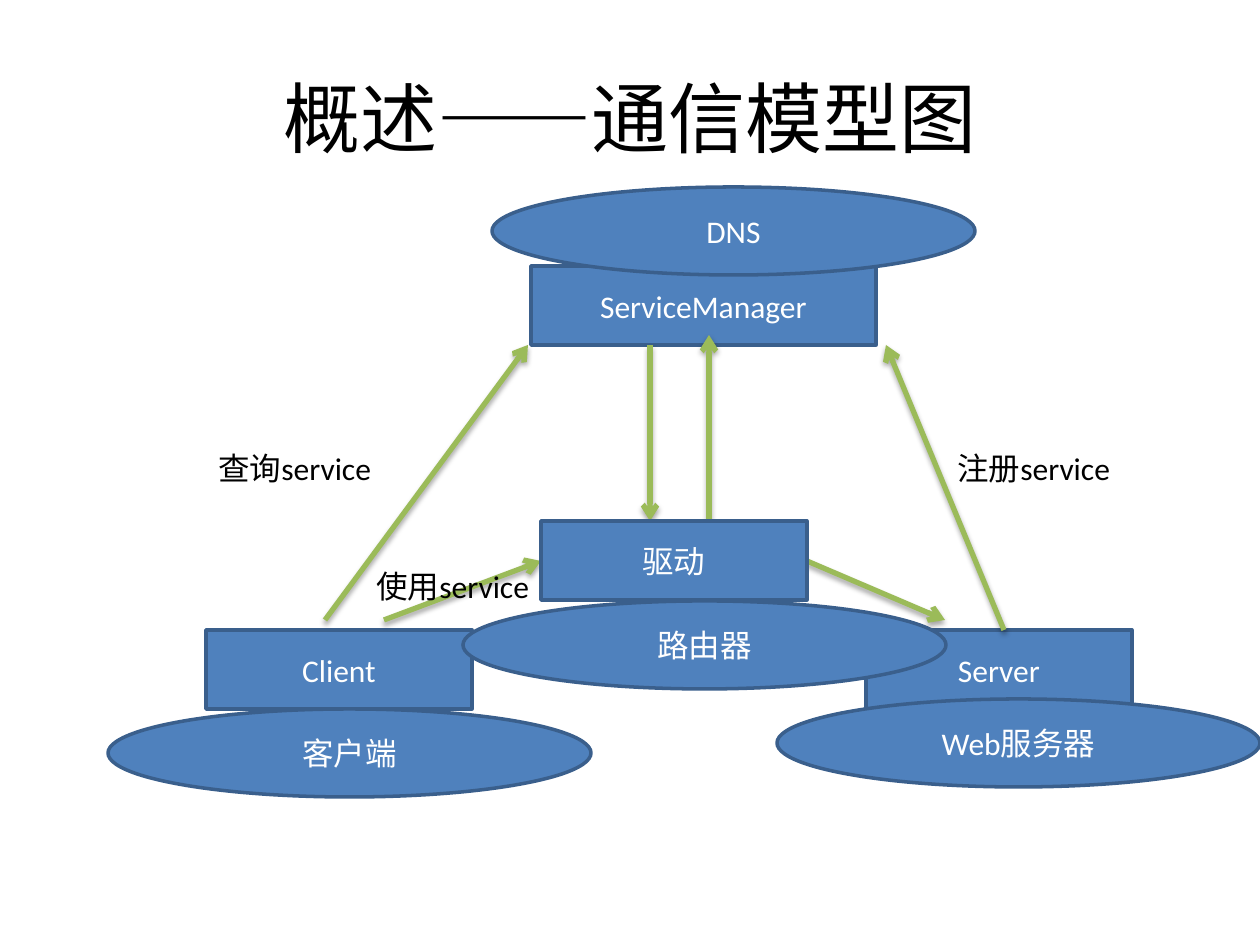
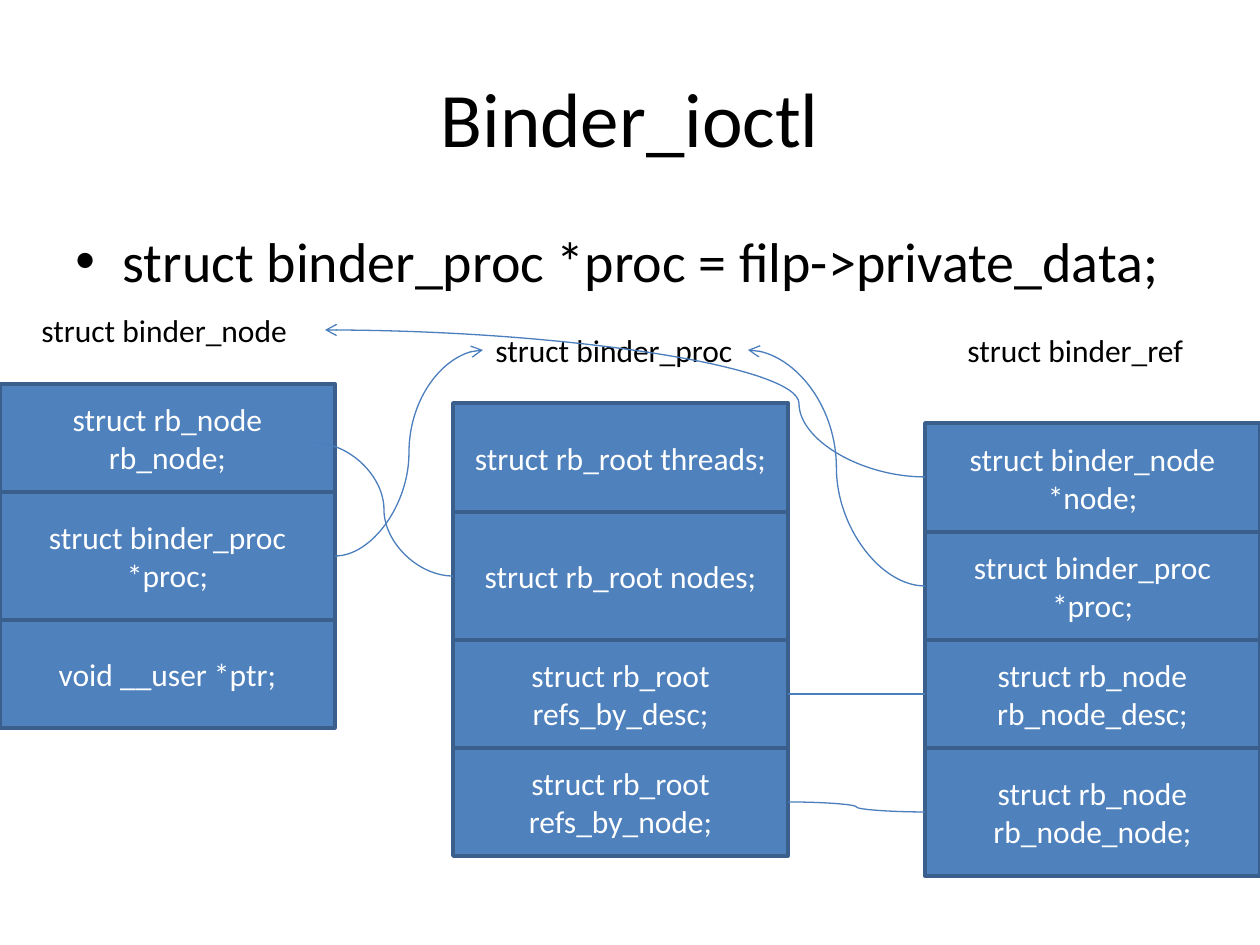
from pptx import Presentation
from pptx import util as u
from pptx.dml.color import RGBColor
from pptx.enum import shapes, text
from pptx.oxml import parse_xml
from pptx.oxml.ns import nsdecls, qn
from lxml import etree

SCALE = 914400 / 126
HUES = {"ink": "000000", "pale": "FFFFFF", "box": "4F81BD", "edge": "3A5F8C",
        "green": "9BBB59", "blue": "4B7EBC"}
RECT, OVAL = shapes.MSO_SHAPE.RECTANGLE, shapes.MSO_SHAPE.OVAL
LINE, CURVE = shapes.MSO_CONNECTOR.STRAIGHT, shapes.MSO_CONNECTOR.CURVE
MID = text.MSO_ANCHOR.MIDDLE
LEFT, MIDDLE = text.PP_ALIGN.LEFT, text.PP_ALIGN.CENTER
SHADE = ('<a:outerShdw blurRad="39370" dist="22860" dir="5400000" rotWithShape="0">'
         '<a:srgbClr val="000000"><a:alpha val="35000"/></a:srgbClr></a:outerShdw>')


def write(shape, words, size=18, hue="ink", align=LEFT):
    frame = shape.text_frame
    frame.word_wrap = True
    para = frame.paragraphs[0]
    para.alignment = align
    run = para.add_run()
    run.text = words
    run.font.size = u.Pt(size)
    run.font.name = "Calibri"
    run.font.color.rgb = RGBColor.from_string(HUES[hue])
    return para


def link(slide, kind, ends, hue, width, head, shade="", bend=0.5):
    wire = slide.shapes.add_connector(kind, *[round(n * SCALE) for n in ends])
    wire.line.color.rgb = RGBColor.from_string(HUES[hue])
    wire.line.width = u.Pt(width)
    props = wire._element.spPr
    if head:
        etree.SubElement(props.find(qn("a:ln")), qn("a:tailEnd"), type="arrow")
    if bend != 0.5:
        etree.SubElement(props.find(qn("a:prstGeom")).find(qn("a:avLst")), qn("a:gd"),
                         name="adj1", fmla=f"val {round(bend * 100000)}")
    props.append(parse_xml(f'<a:effectLst {nsdecls("a")}>{shade}</a:effectLst>'))


deck = Presentation()
deck.slide_width, deck.slide_height = u.Inches(10), u.Inches(7.5)

model_boxes = [
    (RECT, 206, 630, 266, 79, "Client"),
    (RECT, 866, 630, 266, 79, "Server"),
    (RECT, 531, 266, 345, 79, "ServiceManager"),
    (RECT, 541, 521, 266, 79, "驱动"),
    (OVAL, 492, 187, 483, 88, "DNS"),
    (OVAL, 777, 699, 483, 88, "Web服务器"),
    (OVAL, 463, 601, 483, 88, "路由器"),
    (OVAL, 108, 709, 483, 88, "客户端"),
]
model_tags = [(206, 443, 217, "查询service"), (945, 443, 217, "注册service"),
              (364, 561, 217, "使用service")]
model_ways = [(325, 620, 528, 345), (384, 620, 541, 561), (1004, 630, 886, 345),
              (807, 561, 945, 620), (650, 345, 650, 521), (709, 521, 709, 335)]

stacks = [
    (453, 403, [("struct rb_root threads;", 109), ("struct rb_root nodes;", 128),
                ("struct rb_root refs_by_desc;", 108), ("struct rb_root refs_by_node;", 108)]),
    (0, 384, [("struct rb_node rb_node;", 108), ("struct binder_proc *proc;", 128),
              ("void __user *ptr;", 108)]),
    (925, 423, [("struct binder_node *node;", 109), ("struct binder_proc *proc;", 108),
                ("struct rb_node rb_node_desc;", 108), ("struct rb_node rb_node_node;", 128)]),
]
struct_boxes = []
for left, top, cells in stacks:
    for words, high in cells:
        struct_boxes.append((RECT, left, top, 335, high, words))
        top += high
struct_tags = [(483, 325, 266, "struct binder_proc"), (29, 305, 295, "struct binder_node"),
               (955, 325, 266, "struct binder_ref")]
struct_ways = [
    ((788, 694, 925, 694), False, 0.5),
    ((788, 802, 925, 812), False, 0.5),
    ((925, 586, 748, 350), True, 0.5),
    ((925, 477, 325, 330), True, 0.21),
    ((315, 443, 453, 576), False, 0.5),
    ((335, 556, 483, 350), True, 0.5),
]

pages = [("概述——通信模型图", model_boxes[:3], model_tags, model_boxes[3:]),
         ("Binder_ioctl", struct_boxes, struct_tags, [])]
for name, under, tags, over in pages:
    slide = deck.slides.add_slide(deck.slide_layouts[5])
    title = slide.shapes.title
    title.left, title.top, title.width, title.height = [
        round(n * SCALE) for n in (63, 38, 1134, 158)]
    title.text_frame.vertical_anchor = MID
    write(title, name, 44, "ink", MIDDLE)

    if not over:
        spot = [round(n * SCALE) for n in (63, 220, 1138, 95)]
        para = write(slide.shapes.add_textbox(*spot),
                     "struct binder_proc *proc = filp->private_data;", 32)
        props = para._p.get_or_add_pPr()
        props.set("marL", "342900")
        props.set("indent", "-342900")
        etree.SubElement(props, qn("a:buFont"), typeface="Arial")
        etree.SubElement(props, qn("a:buChar"), char="•")

    for group in (under, over):
        for kind, left, top, wide, high, words in group:
            spot = [round(n * SCALE) for n in (left, top, wide, high)]
            box = slide.shapes.add_shape(kind, *spot)
            box.shadow.inherit = False
            box.fill.solid()
            box.fill.fore_color.rgb = RGBColor.from_string(HUES["box"])
            box.line.color.rgb = RGBColor.from_string(HUES["edge"])
            box.line.width = u.Pt(2)
            box.text_frame.vertical_anchor = MID
            write(box, words, 18, "pale", MIDDLE)
        if group is under:
            if over:
                for ends in model_ways[:3]:
                    link(slide, LINE, ends, "green", 3, True, SHADE)
            for left, top, wide, words in tags:
                spot = [round(n * SCALE) for n in (left, top, wide, 51)]
                write(slide.shapes.add_textbox(*spot), words)
            if over:
                for ends in model_ways[3:]:
                    link(slide, LINE, ends, "green", 3, True, SHADE)

for ends, head, bend in struct_ways:
    link(slide, CURVE, ends, "blue", 0.75, head, "", bend)

deck.save("out.pptx")
